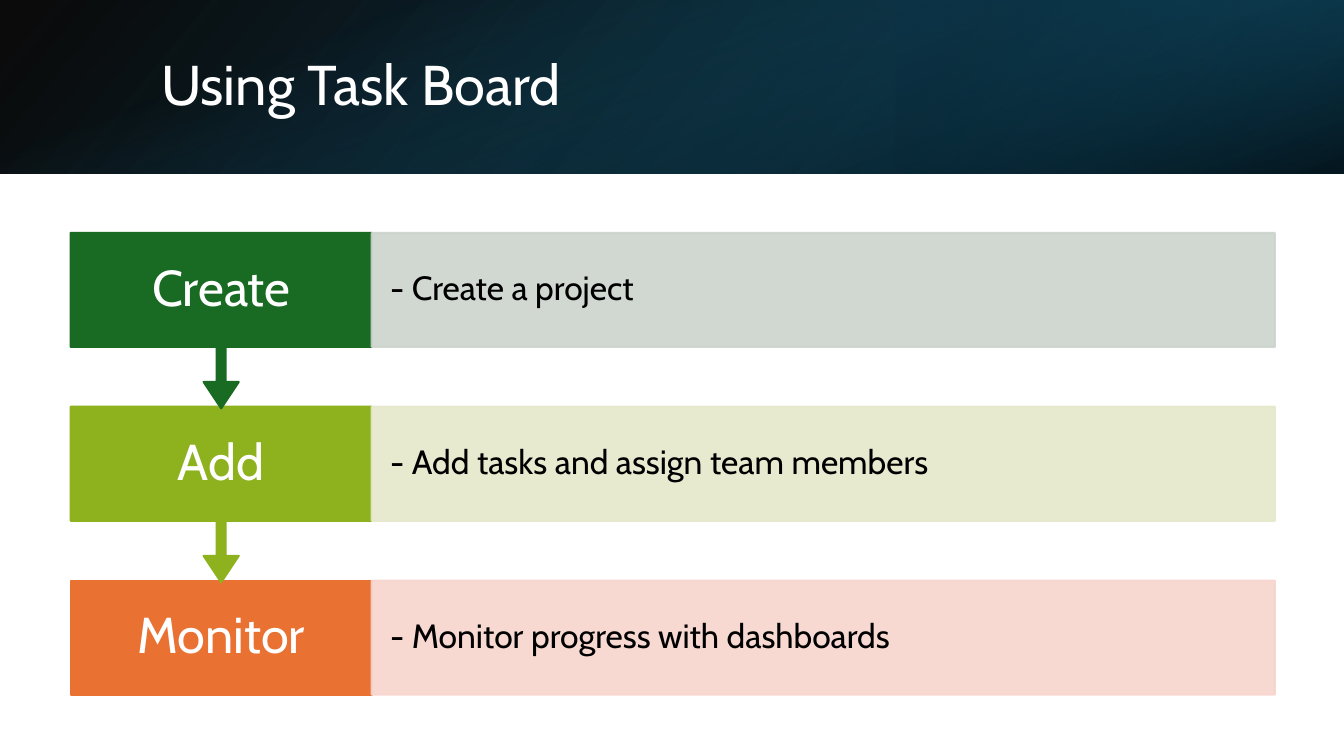
from lxml import etree
from pptx import Presentation
from pptx.dml.color import RGBColor
from pptx.enum import shapes, text
from pptx.oxml import ns
from pptx.util import Cm, Pt

WHITE = RGBColor(0xFF, 0xFF, 0xFF)
BLACK = RGBColor(0x00, 0x00, 0x00)
GREEN = RGBColor(0x19, 0x6B, 0x24)
LIME = RGBColor(0x8E, 0xB2, 0x1E)
ORANGE = RGBColor(0xE9, 0x71, 0x32)
PALE_GREEN = RGBColor(0xCC, 0xD4, 0xCD)
PALE_LIME = RGBColor(0xE5, 0xE8, 0xCA)
PALE_ORANGE = RGBColor(0xF7, 0xD5, 0xCE)
NIGHT = RGBColor(0x0B, 0x30, 0x41)
OCEAN = RGBColor(0x10, 0x48, 0x62)
TEAL = RGBColor(0x15, 0x60, 0x82)

TITLE = "Using Task Board"
STEPS = [
    ("Create", "- Create a project", GREEN, PALE_GREEN),
    ("Add", "- Add tasks and assign team members", LIME, PALE_LIME),
    ("Monitor", "- Monitor progress with dashboards", ORANGE, PALE_ORANGE),
]

SLIDE_WIDTH, SLIDE_HEIGHT, HEADER_HEIGHT = 33.87, 19.05, 4.38
# Stops are (position %, colour, opacity %)
HEADER_LAYERS = [
    dict(box=(0, 0, SLIDE_WIDTH, HEADER_HEIGHT), rotation=0, flip=True, angle=140,
         stops=[(0, BLACK, 96), (100, OCEAN, 100)]),
    dict(box=(22.58, 0, 11.29, HEADER_HEIGHT), rotation=180, flip=True, angle=320,
         stops=[(19, NIGHT, 68), (100, TEAL, 79)]),
    dict(box=((SLIDE_WIDTH - HEADER_HEIGHT) / 2, (HEADER_HEIGHT - SLIDE_WIDTH) / 2,
              HEADER_HEIGHT, SLIDE_WIDTH), rotation=90, flip=False, angle=340,
         stops=[(23, TEAL, 0), (99, BLACK, 74)]),
]

ROW_TOP, ROW_PITCH = 5.87, 4.38
STEP_LEFT, STEP_WIDTH, DETAIL_WIDTH = 1.78, 7.59, 22.76
CALLOUT_HEIGHT, BOX_SHARE = 4.42, 0.65
BOX_HEIGHT = CALLOUT_HEIGHT * BOX_SHARE
ARROW = (0.05, 0.1, 0.15, BOX_SHARE)

TITLE_STYLE = dict(size=Pt(40), color=WHITE, align=text.PP_ALIGN.LEFT, margins=(0.25, 0.13))
STEP_STYLE = dict(size=Pt(36), color=WHITE, align=text.PP_ALIGN.CENTER, margins=(0.53, 0.71))
DETAIL_STYLE = dict(size=Pt(24), color=BLACK, align=text.PP_ALIGN.LEFT, margins=(0.46, 0.84))


def write(shape, words, style):
    frame = shape.text_frame
    horizontal, vertical = map(Cm, style["margins"])
    frame_format = dict(word_wrap=True, vertical_anchor=text.MSO_ANCHOR.MIDDLE,
                        margin_left=horizontal, margin_right=horizontal,
                        margin_top=vertical, margin_bottom=vertical)
    for name, value in frame_format.items():
        setattr(frame, name, value)
    paragraph = frame.paragraphs[0]
    paragraph.alignment = style["align"]
    paragraph.line_spacing = 0.9
    run = paragraph.add_run()
    run.text = words
    run.font.name = "Cabin"
    run.font.size = style["size"]
    run.font.color.rgb = style["color"]


def add_block(slide, kind, box, color=None, opacity=100):
    """Add a shape without shadow; without a colour it has no outline either."""
    shape = slide.shapes.add_shape(kind, *map(Cm, box))
    shape.shadow.inherit = False
    if color is None:
        shape.line.fill.background()
        return shape
    shape.line.width = Pt(1.5)
    for fill in (shape.fill, shape.line.fill):
        fill.solid()
        fill.fore_color.rgb = color
    if opacity < 100:
        for node in shape._element.spPr.iter(ns.qn("a:srgbClr")):
            etree.SubElement(node, ns.qn("a:alpha"), val=str(opacity * 1000))
    return shape


def add_header_layer(slide, box, rotation, flip, angle, stops):
    shape = add_block(slide, shapes.MSO_SHAPE.RECTANGLE, box)
    shape.rotation = rotation
    properties = shape._element.spPr
    if flip:
        properties.find(ns.qn("a:xfrm")).set("flipH", "1")
    gradient = etree.Element(ns.qn("a:gradFill"), rotWithShape="1")
    stop_list = etree.SubElement(gradient, ns.qn("a:gsLst"))
    for position, color, opacity in stops:
        stop = etree.SubElement(stop_list, ns.qn("a:gs"), pos=str(position * 1000))
        node = etree.SubElement(stop, ns.qn("a:srgbClr"), val=str(color))
        etree.SubElement(node, ns.qn("a:alpha"), val=str(opacity * 1000))
    etree.SubElement(gradient, ns.qn("a:lin"), ang=str(angle * 60000), scaled="0")
    properties.find(ns.qn("a:prstGeom")).addnext(gradient)


def add_step(slide, row, name, detail, color, pale):
    top = ROW_TOP + row * ROW_PITCH
    is_last = row == len(STEPS) - 1
    kind = shapes.MSO_SHAPE.RECTANGLE if is_last else shapes.MSO_SHAPE.DOWN_ARROW_CALLOUT
    height = BOX_HEIGHT if is_last else CALLOUT_HEIGHT
    step = add_block(slide, kind, (STEP_LEFT, top, STEP_WIDTH, height), color)
    if not is_last:
        for index, value in enumerate(ARROW):
            step.adjustments[index] = value
    write(step, name, STEP_STYLE)
    detail_box = (STEP_LEFT + STEP_WIDTH, top, DETAIL_WIDTH, BOX_HEIGHT)
    write(add_block(slide, shapes.MSO_SHAPE.RECTANGLE, detail_box, pale, 90),
          detail, DETAIL_STYLE)


def main():
    presentation = Presentation()
    presentation.slide_width, presentation.slide_height = Cm(SLIDE_WIDTH), Cm(SLIDE_HEIGHT)
    slide = presentation.slides.add_slide(presentation.slide_layouts[6])
    for layer in HEADER_LAYERS:
        add_header_layer(slide, **layer)
    title = slide.shapes.add_textbox(Cm(3.81), Cm(0.97), Cm(27.89), Cm(2.44))
    write(title, TITLE, TITLE_STYLE)
    # Bottom row first, so that each arrow tip lies over the box below it
    for row, step in reversed(list(enumerate(STEPS))):
        add_step(slide, row, *step)
    presentation.save("out.pptx")


if __name__ == "__main__":
    main()
